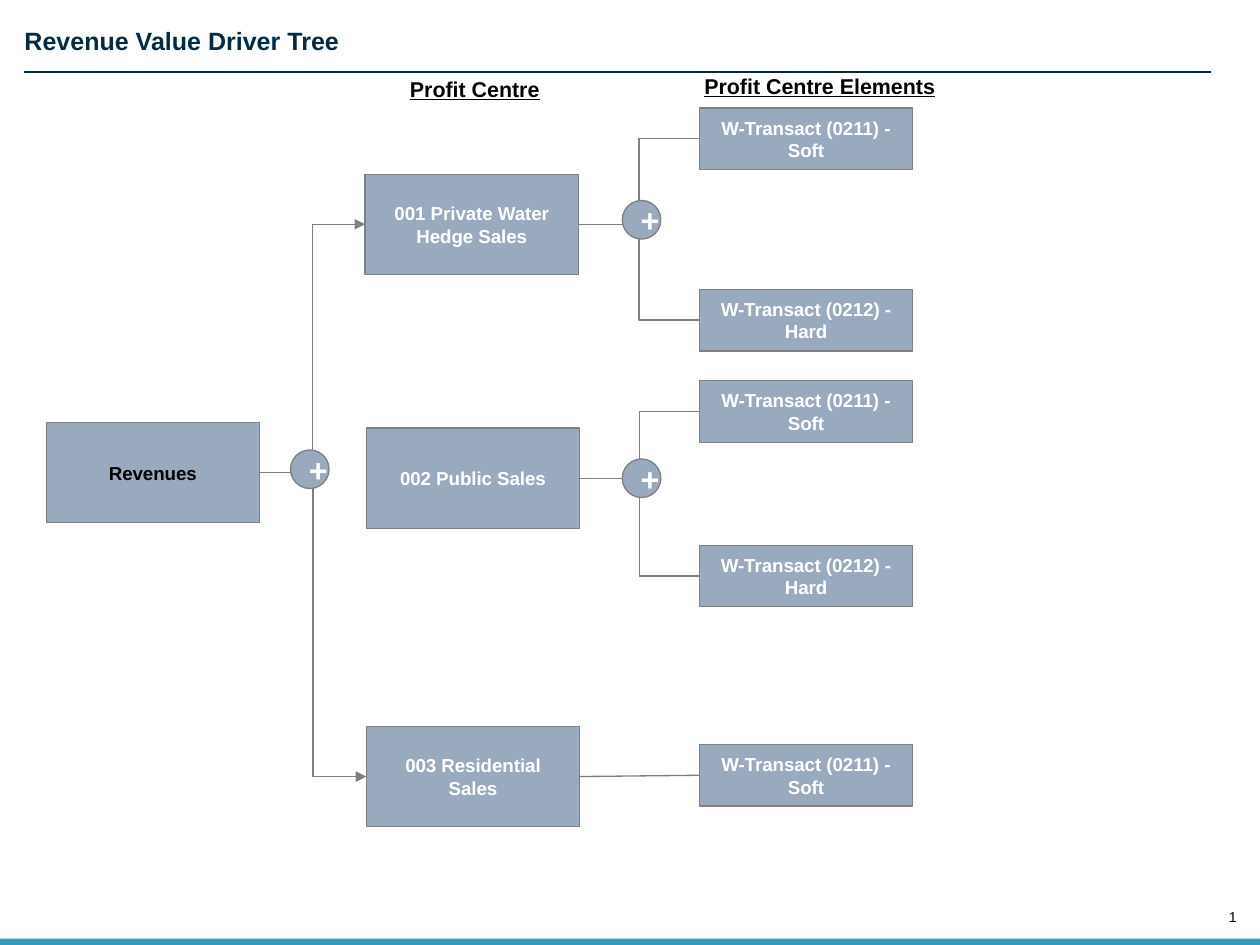
from lxml.etree import SubElement
from pptx import Presentation
from pptx.dml.color import RGBColor
from pptx.enum.dml import MSO_LINE
from pptx.enum.shapes import MSO_CONNECTOR, MSO_SHAPE
from pptx.enum.text import MSO_ANCHOR, MSO_AUTO_SIZE, PP_ALIGN
from pptx.oxml.ns import qn
from pptx.util import Inches, Pt

NAVY = RGBColor(0x00, 0x2C, 0x46)
TEAL = RGBColor(0x37, 0x9B, 0xBD)
STEEL = RGBColor(0x99, 0xAA, 0xBE)
GRAY = RGBColor(0x80, 0x80, 0x80)
BLACK = RGBColor(0x00, 0x00, 0x00)
WHITE = RGBColor(0xFF, 0xFF, 0xFF)

COLUMNS, ROWS = 98, 73.5
BOX_WIDTH, BOX_HEIGHT, ELEMENT_HEIGHT, CIRCLE_SIZE = 16.6, 7.8, 4.8, 3
ELEMENT_LEFT = 54.4
LEFT_SITE, RIGHT_SITE = 1, 3
SOFT, HARD = "W-Transact (0211) - Soft", "W-Transact (0212) - Hard"


class TreeSlide:
    font_name = "Arial"
    line_width = Pt(0.75)

    def __init__(self, presentation):
        self.column = presentation.slide_width / COLUMNS
        self.row = presentation.slide_height / ROWS
        self.slide = presentation.slides.add_slide(presentation.slide_layouts[5])
        self.shapes = self.slide.shapes

    def place(self, left, top, width, height):
        return (round(left * self.column), round(top * self.row),
                round(width * self.column), round(height * self.row))

    def format_font(self, font, size, color, bold=True):
        font.name, font.size, font.bold = self.font_name, Pt(size), bold
        font.color.rgb = color

    def clear_margins(self, frame):
        frame.margin_left = frame.margin_right = frame.margin_top = frame.margin_bottom = 0

    def set_text(self, shape, text, size, color, alignment):
        shape.text_frame.text = text
        paragraph = shape.text_frame.paragraphs[0]
        paragraph.alignment = alignment
        self.format_font(paragraph.runs[0].font, size, color)
        return paragraph.runs[0]

    def title(self, text, *area):
        title = self.shapes.title
        title.left, title.top, title.width, title.height = self.place(*area)
        frame = title.text_frame
        self.clear_margins(frame)
        frame.auto_size = MSO_AUTO_SIZE.NONE
        frame.vertical_anchor = MSO_ANCHOR.TOP
        self.set_text(title, text, 14, NAVY, PP_ALIGN.LEFT)

    def heading(self, text, *area):
        heading = self.shapes.add_textbox(*self.place(*area))
        heading.text_frame.word_wrap = True
        self.set_text(heading, text, 12, BLACK, PP_ALIGN.LEFT).font.underline = True

    def bar(self, *area):
        bar = self.shapes.add_shape(MSO_SHAPE.RECTANGLE, *self.place(*area))
        bar.shadow.inherit = False
        bar.fill.solid()
        bar.fill.fore_color.rgb = TEAL
        bar.line.fill.background()

    def node(self, text, left, middle, width, height, color=WHITE, size=10.5,
             kind=MSO_SHAPE.RECTANGLE):
        node = self.shapes.add_shape(kind, *self.place(left, middle - height / 2, width, height))
        node.shadow.inherit = False
        node.fill.solid()
        node.fill.fore_color.rgb = STEEL
        node.line.color.rgb = GRAY
        node.line.width = self.line_width
        node.text_frame.vertical_anchor = MSO_ANCHOR.MIDDLE
        self.set_text(node, text, size, color, PP_ALIGN.CENTER)
        return node

    def plus(self, left, middle):
        self.node("+", left, middle, CIRCLE_SIZE, CIRCLE_SIZE, size=18, kind=MSO_SHAPE.OVAL)

    def line(self, kind, ends, color):
        line = self.shapes.add_connector(kind, *ends)
        line.line.color.rgb = color
        line.line.width = self.line_width
        line.line.dash_style = MSO_LINE.SOLID
        SubElement(line._element.spPr, qn("a:effectLst"))
        return line

    def rule(self, left, right, top):
        start, height, end, _ = self.place(left, top, right, 0)
        self.line(MSO_CONNECTOR.STRAIGHT, (start, height, end, height), NAVY)

    def link(self, source, target, kind=MSO_CONNECTOR.ELBOW, arrow=False):
        ends = (source.left + source.width, source.top + source.height // 2,
                target.left, target.top + target.height // 2)
        link = self.line(kind, ends, GRAY)
        link.begin_connect(source, RIGHT_SITE)
        link.end_connect(target, LEFT_SITE)
        if arrow:
            outline = link._element.spPr.find(qn("a:ln"))
            SubElement(outline, qn("a:tailEnd"), type="triangle")

    def slide_number(self, *area):
        box = self.shapes.add_textbox(*self.place(*area))
        frame = box.text_frame
        self.clear_margins(frame)
        frame.word_wrap = False
        frame.vertical_anchor = MSO_ANCHOR.BOTTOM
        paragraph = frame.paragraphs[0]
        paragraph.alignment = PP_ALIGN.RIGHT
        self.format_font(paragraph.font, 8, BLACK, bold=False)
        field = SubElement(paragraph._p, qn("a:fld"), type="slidenum",
                           id="{B6F15528-21DE-4FAA-801E-634DDDAF4B2B}")
        properties = SubElement(field, qn("a:rPr"), lang="en-GB", sz="800")
        SubElement(properties, qn("a:latin"), typeface=self.font_name)
        SubElement(field, qn("a:t")).text = "1"


presentation = Presentation()
presentation.slide_width, presentation.slide_height = Inches(9.8), Inches(7.35)
tree = TreeSlide(presentation)

tree.slide_number(94.8, 70.7, 1.4, 1.3)
tree.bar(0, 73, COLUMNS, 0.5)
tree.title("Revenue Value Driver Tree", 1.9, 2, 95.6, 2.4)
tree.rule(1.9, 94.2, 5.6)
tree.heading("Profit Centre", 30.9, 5.4, 19.6, 3)
tree.heading("Profit Centre Elements", 53.8, 5.2, 21.9, 3)

revenues = tree.node("Revenues", 3.6, 36.75, BOX_WIDTH, BOX_HEIGHT, BLACK)
profit_centres = [
    ("001 Private Water Hedge Sales", 28.4, 17.45, True, [(SOFT, 10.8), (HARD, 24.9)]),
    ("002 Public Sales", 28.5, 37.2, False, [(SOFT, 32), (HARD, 44.8)]),
    ("003 Residential Sales", 28.5, 60.4, True, [(SOFT, 60.3)]),
]
for name, left, middle, linked, elements in profit_centres:
    centre = tree.node(name, left, middle, BOX_WIDTH, BOX_HEIGHT)
    if linked:
        tree.link(revenues, centre, arrow=True)
    kind = MSO_CONNECTOR.ELBOW if len(elements) > 1 else MSO_CONNECTOR.STRAIGHT
    for element_name, element_middle in elements:
        element = tree.node(element_name, ELEMENT_LEFT, element_middle, BOX_WIDTH, ELEMENT_HEIGHT)
        tree.link(centre, element, kind)

for left, middle in [(22.6, 36.5), (48.4, 17.1), (48.4, 37.2)]:
    tree.plus(left, middle)

presentation.save("out.pptx")
